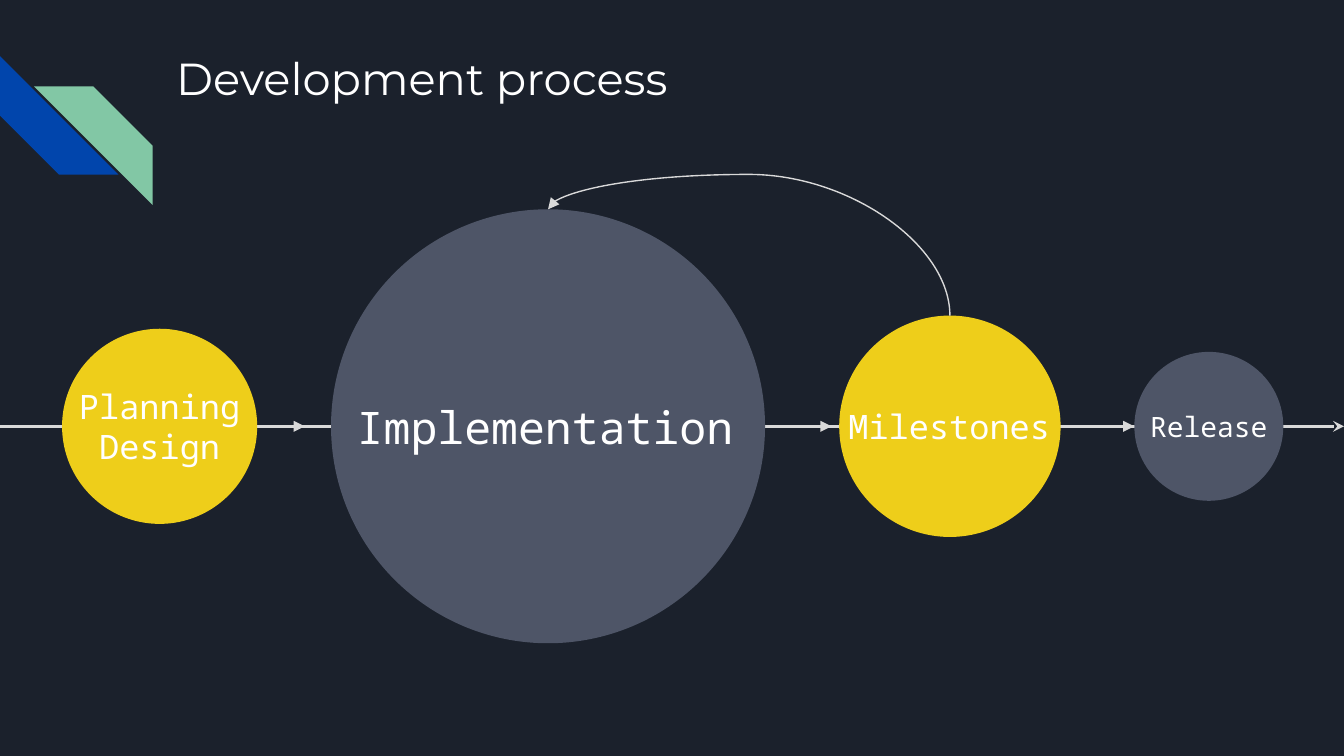
from typing import NamedTuple

from lxml.etree import SubElement
from pptx import Presentation
from pptx.dml.color import RGBColor
from pptx.enum.shapes import MSO_CONNECTOR, MSO_SHAPE
from pptx.enum.text import MSO_ANCHOR, PP_ALIGN
from pptx.oxml.ns import qn
from pptx.util import Pt

NAVY = RGBColor(0x1B, 0x21, 0x2C)
BLUE = RGBColor(0x01, 0x45, 0xAC)
GREEN = RGBColor(0x82, 0xC7, 0xA5)
YELLOW = RGBColor(0xEE, 0xCE, 0x1A)
SLATE = RGBColor(0x4E, 0x55, 0x67)
GREY = RGBColor(0xD9, 0xD9, 0xD9)
WHITE = RGBColor(0xFF, 0xFF, 0xFF)

WIDTH, HEIGHT = 720, 405
AXIS = 228.4
LABEL_HEIGHT = 47.5
INSET = Pt(7.2)


class Stripe(NamedTuple):
    left: float
    top: float
    color: RGBColor
    transform: dict[str, str]


class Stage(NamedTuple):
    label: str
    center: float
    diameter: float
    color: RGBColor
    label_center: float
    label_width: float
    font_size: float


class Arrow(NamedTuple):
    start: tuple[float, float]
    end: tuple[float, float]
    width: float = 0.75
    head: str = "triangle"


STRIPES = [
    Stripe(0, 30.1, BLUE, {"rot": "16200000"}),
    Stripe(18.3, 46.3, GREEN, {"flipH": "1"}),
]
STAGES = [
    Stage("Planning\nDesign", 85.5, 104.5, YELLOW, 85.5, 104.5, 18),
    Stage("Implementation", 293.6, 232.5, SLATE, 291.9, 255.6, 24),
    Stage("Milestones", 508.9, 118.6, YELLOW, 508.5, 126, 18),
    Stage("Release", 647.6, 79.8, SLATE, 647.6, 79.8, 15),
]
TIMELINE = Arrow((-0.7, AXIS), (WIDTH, AXIS), 1.5, "stealth")
STEPS = [
    Arrow((start, AXIS), (end, AXIS))
    for start, end in [(138, 163.3), (420, 445.5), (571.2, 607.7)]
]


def add_filled(slide, kind: MSO_SHAPE, left: float, top: float, size: float, color: RGBColor):
    shape = slide.shapes.add_shape(kind, Pt(left), Pt(top), Pt(size), Pt(size))
    shape.shadow.inherit = False
    shape.fill.solid()
    shape.fill.fore_color.rgb = color
    shape.line.fill.background()
    return shape


def add_text(slide, text: str, box: tuple[float, float, float, float], font_name: str,
             font_size: float, alignment: PP_ALIGN, anchor: MSO_ANCHOR) -> None:
    frame = slide.shapes.add_textbox(*map(Pt, box)).text_frame
    frame_format = {"word_wrap": True, "vertical_anchor": anchor}
    frame_format |= {f"margin_{side}": INSET for side in ("left", "top", "right", "bottom")}
    for name, value in frame_format.items():
        setattr(frame, name, value)
    paragraph = frame.paragraphs[0]
    paragraph.text = text
    paragraph.alignment = alignment
    for name, value in {"name": font_name, "size": Pt(font_size)}.items():
        setattr(paragraph.font, name, value)
    paragraph.font.color.rgb = WHITE


def add_arrow(slide, arrow: Arrow, kind: MSO_CONNECTOR = MSO_CONNECTOR.STRAIGHT):
    connector = slide.shapes.add_connector(kind, *map(Pt, arrow.start + arrow.end))
    connector.line.color.rgb = GREY
    connector.line.width = Pt(arrow.width)
    properties = connector._element.spPr
    SubElement(properties.find(qn("a:ln")), qn("a:tailEnd"),
               {"type": arrow.head, "w": "med", "len": "med"})
    SubElement(properties, qn("a:effectLst"))
    return connector


def add_stage(slide, stage: Stage) -> None:
    radius = stage.diameter / 2
    add_filled(slide, MSO_SHAPE.OVAL, stage.center - radius, AXIS - radius,
               stage.diameter, stage.color)
    box = (stage.label_center - stage.label_width / 2, AXIS - LABEL_HEIGHT / 2,
           stage.label_width, LABEL_HEIGHT)
    add_text(slide, stage.label, box, "Noto Sans Mono", stage.font_size,
             PP_ALIGN.CENTER, MSO_ANCHOR.MIDDLE)


def add_return_curve(slide, source: Stage, target: Stage) -> None:
    """Join the tops of two circles with a curve that bulges upwards."""
    source_top = AXIS - source.diameter / 2
    target_top = AXIS - target.diameter / 2
    middle_x = (source.center + target.center) / 2
    middle_y = (source_top + target_top) / 2
    half_width = (source_top - target_top) / 2
    half_height = (source.center - target.center) / 2
    # The curve is laid out upright, then turned a quarter clockwise
    arrow = Arrow((middle_x + half_width, middle_y - half_height),
                  (middle_x - half_width, middle_y + half_height))
    properties = add_arrow(slide, arrow, MSO_CONNECTOR.CURVE)._element.spPr
    properties.find(qn("a:xfrm")).set("rot", "5400000")
    adjustments = properties.find(qn("a:prstGeom")).find(qn("a:avLst"))
    SubElement(adjustments, qn("a:gd"), {"name": "adj1", "fmla": "val 132900"})


def main() -> None:
    presentation = Presentation()
    presentation.slide_width, presentation.slide_height = Pt(WIDTH), Pt(HEIGHT)
    slide = presentation.slides.add_slide(presentation.slide_layouts[6])
    slide.background.fill.solid()
    slide.background.fill.fore_color.rgb = NAVY

    # Corner decoration
    for stripe in STRIPES:
        shape = add_filled(slide, MSO_SHAPE.DIAGONAL_STRIPE, stripe.left, stripe.top,
                           63.5, stripe.color)
        for name, value in stripe.transform.items():
            shape._element.spPr.find(qn("a:xfrm")).set(name, value)

    # Timeline with its stages
    add_arrow(slide, TIMELINE)
    for stage in STAGES:
        add_stage(slide, stage)

    # Title
    add_text(slide, "Development process", (87.3, 20.2, 473.8, 59.8), "Montserrat", 24,
             PP_ALIGN.LEFT, MSO_ANCHOR.TOP)

    # Arrows between stages, and the loop back to implementation
    for step in STEPS:
        add_arrow(slide, step)
    add_return_curve(slide, source=STAGES[2], target=STAGES[1])

    presentation.save("out.pptx")


if __name__ == "__main__":
    main()
